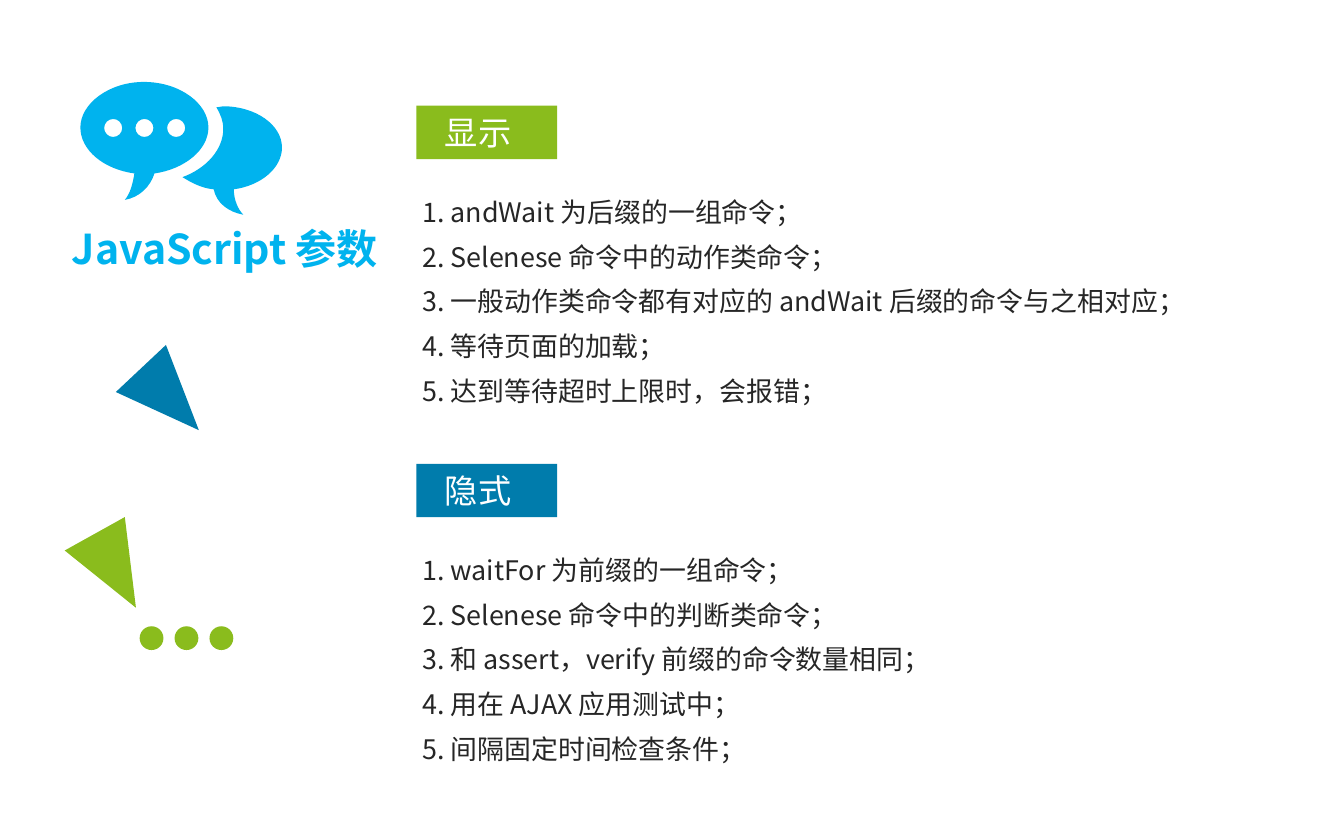
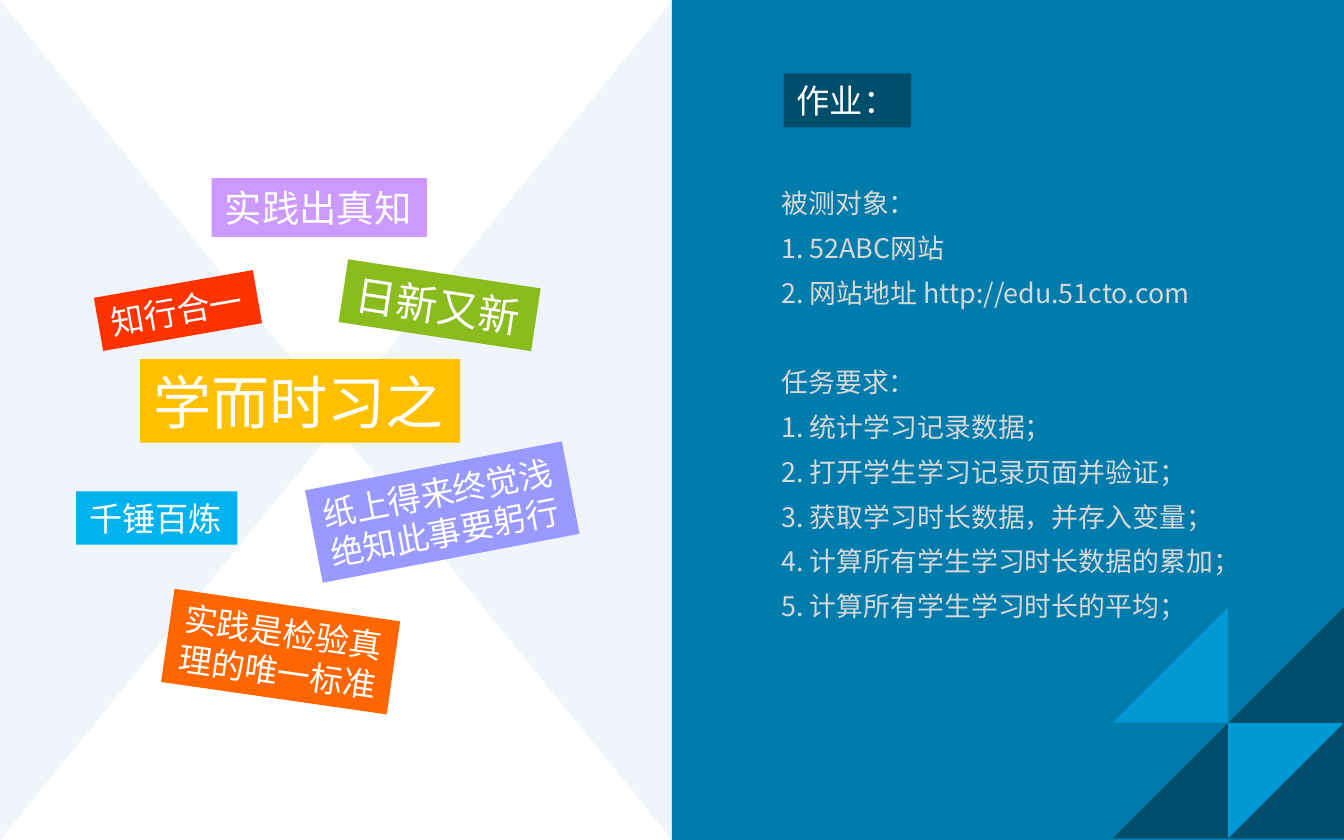
"""Build two slides on wait commands and the homework that follows."""
from lxml.etree import SubElement
from pptx import Presentation
from pptx.dml.color import RGBColor as Rgb
from pptx.enum.shapes import MSO_SHAPE as Kind
from pptx.enum.text import MSO_ANCHOR as Anchor, PP_ALIGN as Align
from pptx.oxml.ns import qn
from pptx.util import Cm, Pt

HUE = {
    "white": "FFFFFF", "ink": "262626", "grey": "D8D8D8", "pale": "EFF5FB",
    "blue": "007CAC", "navy": "004D6C", "sky": "00B3EE", "azure": "0099D6",
    "green": "8ABC1D", "gold": "FFC000", "red": "FF3300", "orange": "FF6600",
    "violet": "9999FF", "lilac": "CC99FF",
}
SANS, KOREAN = "Noto Sans CJK SC", "Noto Sans CJK KR"


def paint(shape, hue, turn=0):
    """Give a shape a plain fill and a turn."""
    shape.fill.solid()
    shape.fill.fore_color.rgb = Rgb.from_string(HUE[hue])
    shape.line.fill.background()
    shape.shadow.inherit = False
    shape.rotation = turn
    return shape


def write(shape, text, size=17.8, font=KOREAN, hue="white", bold=False, wrap=False,
          align=Align.LEFT, anchor=Anchor.MIDDLE, after=0, left=0.25, gap=None):
    """Fill a shape with one paragraph per line; gap names a line that opens a new part."""
    frame = shape.text_frame
    frame.word_wrap, frame.vertical_anchor = wrap, anchor
    frame.margin_left = Cm(left)
    for num, line in enumerate(text.split("\n")):
        para = frame.add_paragraph() if num else frame.paragraphs[0]
        para.alignment, para.space_after = align, Pt(after)
        if line == gap:
            para.space_before = Pt(24)
        run = para.add_run()
        run.text = line
        run.font.size, run.font.name, run.font.bold = Pt(size), font, bold
        run.font.color.rgb = Rgb.from_string(HUE[hue])
        SubElement(run.font._element, qn("a:ea")).set("typeface", font)


deck = Presentation()
deck.slide_width, deck.slide_height = Cm(25.4), Cm(15.88)
waits, tasks = [deck.slides.add_slide(deck.slide_layouts[6]) for _ in range(2)]
BODY = dict(size=14.4, wrap=True, align=Align.JUSTIFY, anchor=Anchor.TOP, after=6.7)

for left, top, hue, turn in ((2.56, 6.75, "blue", 136.8), (1.53, 9.99, "green", 150.9)):
    box = map(Cm, (left, top, 1.3, 1.6))
    paint(waits.shapes.add_shape(Kind.ISOSCELES_TRIANGLE, *box), hue, turn)

FRONT = [
    (3.94, 2.41), (3.94, 1.96), (3.4, 1.55), (2.72, 1.55), (2.06, 1.55), (1.52, 1.96),
    (1.52, 2.41), (1.52, 2.84), (1.96, 3.2), (2.54, 3.28), (2.51, 3.48), (2.46, 3.66),
    (2.36, 3.78), (2.64, 3.73), (2.84, 3.53), (2.92, 3.28), (3.48, 3.2), (3.94, 2.84),
    (3.94, 2.41)]
BACK = [
    (4.42, 3.58), (4.42, 3.78), (4.5, 3.96), (4.6, 4.06), (4.32, 4.01), (4.09, 3.84),
    (4.04, 3.58), (3.81, 3.56), (3.61, 3.45), (3.45, 3.35), (3.91, 3.18), (4.22, 2.82),
    (4.22, 2.44), (4.22, 2.29), (4.17, 2.16), (4.09, 2.03), (4.14, 2.03), (4.19, 2.01),
    (4.22, 2.01), (4.83, 2.01), (5.33, 2.36), (5.33, 2.79), (5.33, 3.18), (4.93, 3.51),
    (4.42, 3.58)]
ROUND = [(0, 1), (-0.55, 1), (-1, 0.55), (-1, 0), (-1, -0.55), (-0.55, -1), (0, -1),
         (0.55, -1), (1, -0.55), (1, 0), (1, 0.55), (0.55, 1), (0, 1)]
dots = [[(mid + 0.17 * x, 2.42 + 0.17 * y) for x, y in ROUND] for mid in (2.14, 2.73, 3.33)]
rings = [[(x * 1000, y * 1000) for x, y in ring] for ring in [FRONT, *dots, BACK]]
pen = waits.shapes.build_freeform(*rings[0][0], scale=Cm(0.001))
pen.add_line_segments(rings[0][1:])
for ring in rings[1:]:
    pen.move_to(*ring[0])
    pen.add_line_segments(ring[1:])
chat = paint(pen.convert_to_shape(), "sky")
trail = next(chat._element.iter(qn("a:path")))
steps = trail.findall(qn("a:lnTo"))
for at in range(0, len(steps), 3):
    bend = trail.makeelement(qn("a:cubicBezTo"))
    steps[at].addprevious(bend)
    for step in steps[at:at + 3]:
        bend.append(step[0])
        trail.remove(step)

for num in range(3):
    box = map(Cm, (2.64 + 0.66 * num, 11.84, 0.45, 0.45))
    paint(waits.shapes.add_shape(Kind.OVAL, *box), "green")

title = waits.shapes.add_textbox(Cm(1.11), Cm(4.1), Cm(6.32), Cm(1.19))
write(title, "JavaScript 参数", size=22, font=SANS, hue="sky", bold=True, wrap=True,
      anchor=Anchor.TOP)

PARTS = [
    ("显示", "green", 2, """1. andWait 为后缀的一组命令；
2. Selenese 命令中的动作类命令；
3. 一般动作类命令都有对应的 andWait 后缀的命令与之相对应；
4. 等待页面的加载；
5. 达到等待超时上限时，会报错；"""),
    ("隐式", "blue", 8.77, """1. waitFor 为前缀的一组命令；
2. Selenese 命令中的判断类命令；
3. 和 assert，verify 前缀的命令数量相同；
4. 用在 AJAX 应用测试中；
5. 间隔固定时间检查条件；"""),
]
for head, hue, top, text in PARTS:
    box = map(Cm, (7.87, top, 2.66, 1.01))
    write(paint(waits.shapes.add_shape(Kind.RECTANGLE, *box), hue), head,
          wrap=True, left=0.54)
    body = waits.shapes.add_textbox(Cm(7.73), Cm(top + 1.57), Cm(16.59), Cm(4.34))
    write(body, text, font=SANS, hue="ink", **BODY)

for left, turn in ((-4.72, 90), (1.55, 270)):
    box = map(Cm, (left, 4.72, 15.88, 6.45))
    paint(tasks.shapes.add_shape(Kind.ISOSCELES_TRIANGLE, *box), "pale", turn)
half = tasks.shapes.add_shape(Kind.RECTANGLE, Cm(12.7), 0, Cm(12.7), Cm(15.88))
paint(half, "blue")

LABELS = [
    ("千锤百炼", (1.44, 9.29, 3.05, 1.01), "sky", 0, 17.8, Align.LEFT),
    ("学而时习之", (2.65, 6.79, 6.05, 1.58), "gold", 0, 31.1, Align.LEFT),
    ("知行合一", (1.84, 5.36, 3.05, 1.02), "red", 350.1, 17.8, Align.LEFT),
    ("日新又新", (6.47, 5.17, 3.68, 1.2), "green", 8.6, 22.2, Align.LEFT),
    ("纸上得来终觉浅\n绝知此事要躬行", (5.89, 8.79, 4.94, 1.78), "violet", 349.2, 17.8,
     Align.LEFT),
    ("实践是检验真\n理的唯一标准", (3.15, 11.43, 4.31, 1.78), "orange", 8.2, 17.8,
     Align.CENTER),
    ("实践出真知", (4, 3.37, 4.07, 1.11), "lilac", 0, 20, Align.LEFT),
    ("作业：", (14.81, 1.39, 2.41, 1.02), "navy", 0, 17.8, Align.LEFT),
]
for text, box, hue, turn, size, align in LABELS:
    card = tasks.shapes.add_shape(Kind.RECTANGLE, *map(Cm, box))
    write(paint(card, hue, turn), text, size=size, align=align)

body = tasks.shapes.add_textbox(Cm(14.52), Cm(3.41), Cm(9.93), Cm(8.7))
write(body, """被测对象：
1. 52ABC网站
2. 网站地址 http://edu.51cto.com
任务要求：
1. 统计学习记录数据；
2. 打开学生学习记录页面并验证；
3. 获取学习时长数据，并存入变量；
4. 计算所有学生学习时长数据的累加；
5. 计算所有学生学习时长的平均；""", hue="grey", gap="任务要求：", **BODY)

CORNER = [
    (21.03, 11.48, 4.37, "navy", 270),
    (23.21, 13.67, 2.18, "azure", 90),
    (21.03, 11.48, 2.18, "azure", 270),
]
for left, top, side, hue, turn in CORNER:
    box = map(Cm, (left, top, side, side))
    paint(tasks.shapes.add_shape(Kind.RIGHT_TRIANGLE, *box), hue, turn)

deck.save("out.pptx")
